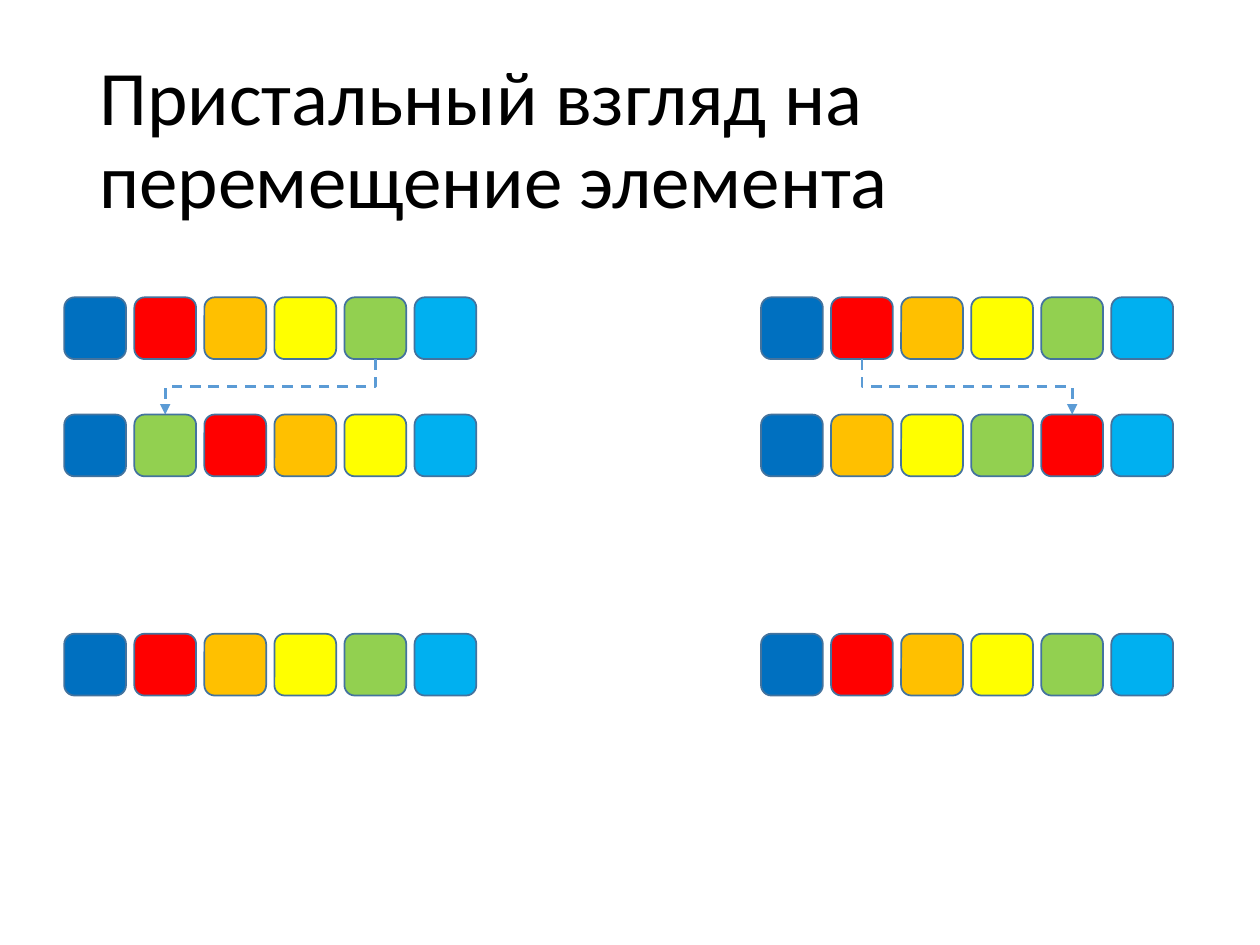
from lxml import etree
from pptx import Presentation
from pptx.dml.color import RGBColor
from pptx.enum.dml import MSO_LINE
from pptx.enum.shapes import MSO_CONNECTOR, MSO_SHAPE
from pptx.enum.text import MSO_ANCHOR
from pptx.oxml.ns import qn
from pptx.util import Inches, Pt

ROUNDED = MSO_SHAPE.ROUNDED_RECTANGLE
ELBOW = MSO_CONNECTOR.ELBOW
DASH = MSO_LINE.DASH
MIDDLE = MSO_ANCHOR.MIDDLE

COLORS = ["0070C0", "FF0000", "FFC000", "FFFF00", "92D050", "00B0F0"]
CELL = 0.49
PITCH = 0.556
BEFORE_TOP, AFTER_TOP, BOTTOM_TOP = 2.36, 3.29, 5.03


def rgb(value):
    return RGBColor.from_string(value)


def add_title(page, text):
    box = page.shapes.add_textbox(Inches(0.69), Inches(0.4), Inches(8.62), Inches(1.45))
    frame = box.text_frame
    frame.word_wrap = True
    frame.vertical_anchor = MIDDLE
    para = frame.paragraphs[0]
    para.text = text
    para.line_spacing = 0.9
    para.font.name = "Calibri"
    para.font.size = Pt(44)
    para.font.color.rgb = rgb("000000")


def add_cell(shapes, left, top, column, color):
    cell = shapes.add_shape(ROUNDED, Inches(left + column * PITCH), Inches(top),
                            Inches(CELL), Inches(CELL))
    cell.shadow.inherit = False
    cell.fill.solid()
    cell.fill.fore_color.rgb = rgb(color)
    cell.line.color.rgb = rgb("43739E")
    cell.line.width = Pt(1)


def add_row(shapes, left, top, colors, first=0):
    for column, color in enumerate(colors, first):
        add_cell(shapes, left, top, column, color)


def add_move_arrow(shapes, left, source, target):
    drop = AFTER_TOP - BEFORE_TOP - CELL
    span = abs(target - source) * PITCH
    center_x = left + CELL / 2 + (source + target) / 2 * PITCH
    center_y = AFTER_TOP - drop / 2
    rightward = target > source
    half = drop / 2 if rightward else -drop / 2
    arrow = shapes.add_connector(
        ELBOW, Inches(center_x + half), Inches(center_y - span / 2),
        Inches(center_x - half), Inches(center_y + span / 2))
    arrow.line.color.rgb = rgb("5B9BD5")
    arrow.line.width = Pt(1.5)
    arrow.line.dash_style = DASH
    properties = arrow.element.spPr
    properties.find(qn("a:xfrm")).set("rot", str((270 if rightward else 90) * 60000))
    etree.SubElement(properties.find(qn("a:ln")), qn("a:tailEnd"), type="triangle")
    etree.SubElement(properties, qn("a:effectLst"))


def add_move(page, left, source, target):
    moved = COLORS.copy()
    moved.insert(target, moved.pop(source))
    shapes = page.shapes.add_group_shape().shapes
    add_row(shapes, left, BEFORE_TOP, COLORS)
    add_move_arrow(shapes, left, source, target)
    add_row(shapes, left, AFTER_TOP, moved)


def add_shifted_row(page, left, source, target):
    start = min(source, target + 1)
    stop = max(source, target + 1)
    if source < target:
        start = source + 1
    else:
        start, stop = target, source
    add_row(page.shapes, left, BOTTOM_TOP, COLORS[:start])
    group = page.shapes.add_group_shape()
    add_row(group.shapes, left, BOTTOM_TOP, COLORS[start:stop], start)
    add_row(page.shapes, left, BOTTOM_TOP, COLORS[stop:], stop)


def main():
    deck = Presentation()
    deck.slide_width = Inches(10)
    deck.slide_height = Inches(7.5)
    page = deck.slides.add_slide(deck.slide_layouts[6])
    add_title(page, "Пристальный взгляд на перемещение элемента")
    for left, source, target in [(0.51, 4, 1), (6.04, 1, 4)]:
        add_move(page, left, source, target)
        add_shifted_row(page, left, source, target)
    deck.save("out.pptx")


if __name__ == "__main__":
    main()
